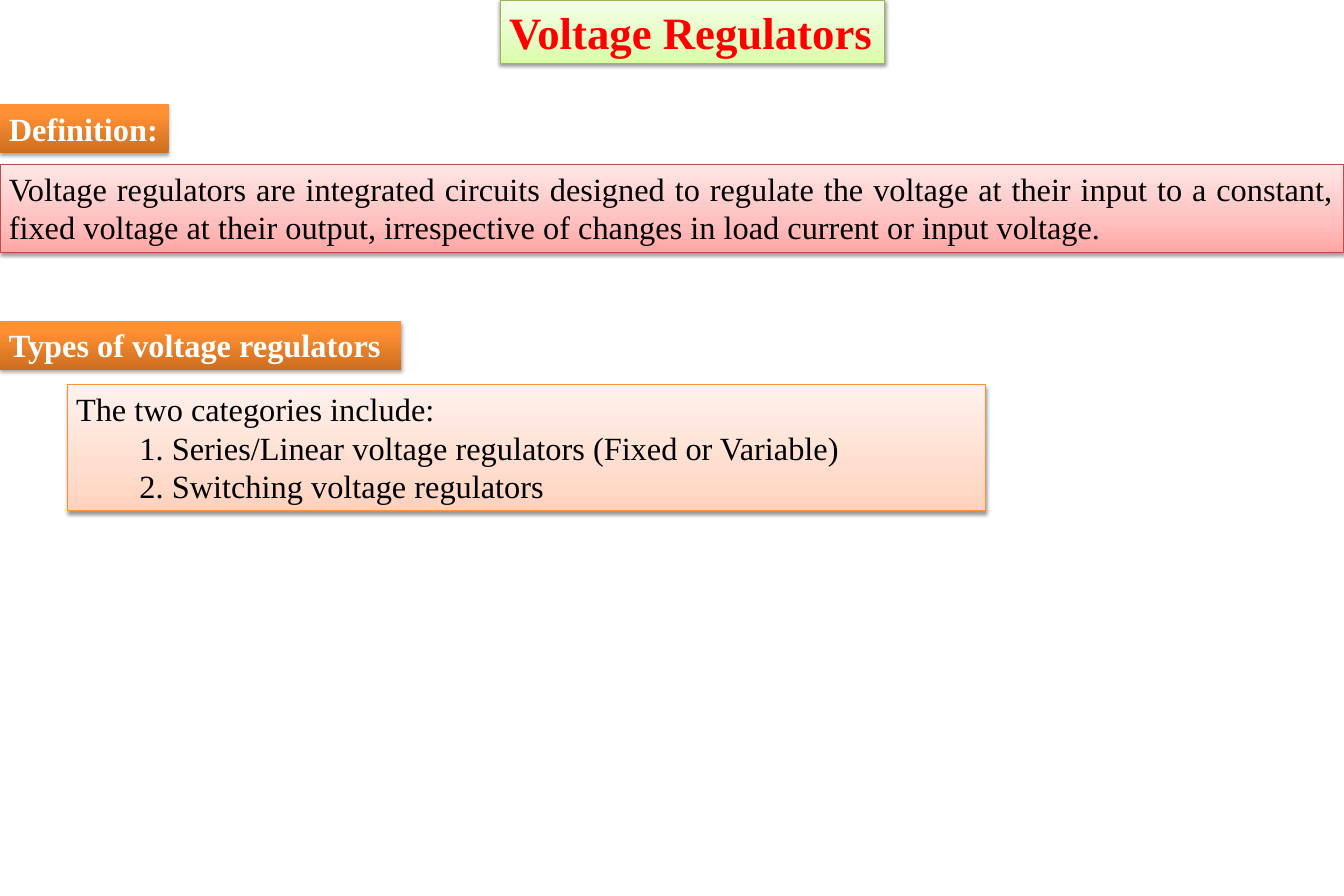
from dataclasses import dataclass

from lxml.etree import SubElement
from pptx import Presentation
from pptx.dml.color import RGBColor
from pptx.enum.text import MSO_AUTO_SIZE, PP_ALIGN
from pptx.oxml.ns import qn
from pptx.util import Pt


@dataclass(frozen=True)
class Theme:
    """Colours, type sizes and effects of the deck."""

    font: str = "Times New Roman"
    title_size: int = 36
    body_size: int = 26
    title_color: str = "FF0000"
    heading_color: str = "FFFFFF"
    body_color: str = "000000"
    shadow_color: str = "000000"
    green: tuple = ((0, "DAFDA7"), (35, "E4FCC2"), (100, "F5FFE7"))
    green_line: str = "98B955"
    red: tuple = ((0, "FFA6A5"), (35, "FFC0BF"), (100, "FFE7E7"))
    red_line: str = "BF4C48"
    orange: tuple = ((0, "CC6E20"), (80, "FF9034"), (100, "FF9136"))
    peach: tuple = ((0, "FFD2BD"), (35, "FFDED0"), (100, "FFF2ED"))
    peach_line: str = "F69240"


THEME = Theme()


def add_color(parent, color, opacity=100):
    """Add a colour element with an opacity in percent."""
    node = SubElement(parent, qn("a:srgbClr"), val=color)
    if opacity < 100:
        SubElement(node, qn("a:alpha"), val=str(opacity * 1000))


def set_gradient(panel, stops):
    """Fill a panel with a gradient that runs from bottom to top."""
    panel.fill.gradient()
    panel.fill.gradient_angle = 90
    stop_list = panel.element.spPr.find(".//" + qn("a:gsLst"))
    for stop in list(stop_list):
        stop_list.remove(stop)
    for percent, color in stops:
        add_color(SubElement(stop_list, qn("a:gs"), pos=str(percent * 1000)), color)


def set_shadow(panel, distance, opacity):
    """Cast a soft shadow straight down."""
    panel.shadow.inherit = False
    effects = panel.element.spPr.find(qn("a:effectLst"))
    shadow = SubElement(effects, qn("a:outerShdw"), blurRad=str(Pt(3.1)),
                        dist=str(Pt(distance)), dir="5400000", rotWithShape="0")
    add_color(shadow, THEME.shadow_color, opacity)


def add_panel(page, box, stops, line=None, wrap=True):
    """Add a shaded text panel in the given box and return its text frame."""
    panel = page.shapes.add_textbox(*(Pt(length) for length in box))
    set_gradient(panel, stops)
    if line:
        panel.line.color.rgb = RGBColor.from_string(line)
        panel.line.width = Pt(0.75)
        set_shadow(panel, distance=1.6, opacity=38)
    else:
        panel.line.fill.background()
        set_shadow(panel, distance=1.8, opacity=35)
    frame = panel.text_frame
    frame.word_wrap = wrap
    frame.auto_size = MSO_AUTO_SIZE.SHAPE_TO_FIT_TEXT
    return frame


def write(para, text, size=THEME.body_size, color=THEME.body_color, bold=False,
          align=None, level=0, indent=0):
    """Write formatted text into a paragraph."""
    para.alignment = align
    para.level = level
    if indent:
        properties = para._p.get_or_add_pPr()
        properties.set("marL", str(Pt(indent)))
        properties.set("indent", "0")
    span = para.add_run()
    span.text = text
    span.font.name = THEME.font
    span.font.size = Pt(size)
    span.font.bold = bold
    span.font.color.rgb = RGBColor.from_string(color)


def add_title(page, box, text):
    """Add the slide title."""
    frame = add_panel(page, box, THEME.green, THEME.green_line, wrap=False)
    write(frame.paragraphs[0], text, size=THEME.title_size,
          color=THEME.title_color, bold=True)


def add_heading(page, box, text):
    """Add an orange section heading."""
    frame = add_panel(page, box, THEME.orange, wrap=False)
    write(frame.paragraphs[0], text, color=THEME.heading_color, bold=True)


def add_body(page, box, stops, line, text, items=()):
    """Add a justified paragraph followed by indented items."""
    frame = add_panel(page, box, stops, line)
    write(frame.paragraphs[0], text, align=PP_ALIGN.JUSTIFY)
    for item in items:
        write(frame.add_paragraph(), item, align=PP_ALIGN.JUSTIFY, level=1, indent=51)


def main():
    """Build the slide and save the deck."""
    deck = Presentation()
    deck.slide_width, deck.slide_height = Pt(1080), Pt(720)
    page = deck.slides.add_slide(deck.slide_layouts[6])
    add_title(page, (402, 0, 309, 51), "Voltage Regulators")
    add_body(page, (0, 132, 1080, 70.5), THEME.red, THEME.red_line,
             "Voltage regulators are integrated circuits designed to regulate the "
             "voltage at their input to a constant, fixed voltage at their output, "
             "irrespective of changes in load current or input voltage.")
    add_heading(page, (0, 84, 135.5, 39), "Definition:")
    add_heading(page, (0, 258, 322.5, 39), "Types of voltage regulators")
    add_body(page, (54, 309, 738, 101.5), THEME.peach, THEME.peach_line,
             "The two categories include:",
             ("1. Series/Linear voltage regulators (Fixed or Variable)",
              "2. Switching voltage regulators"))
    deck.save("out.pptx")


if __name__ == "__main__":
    main()
